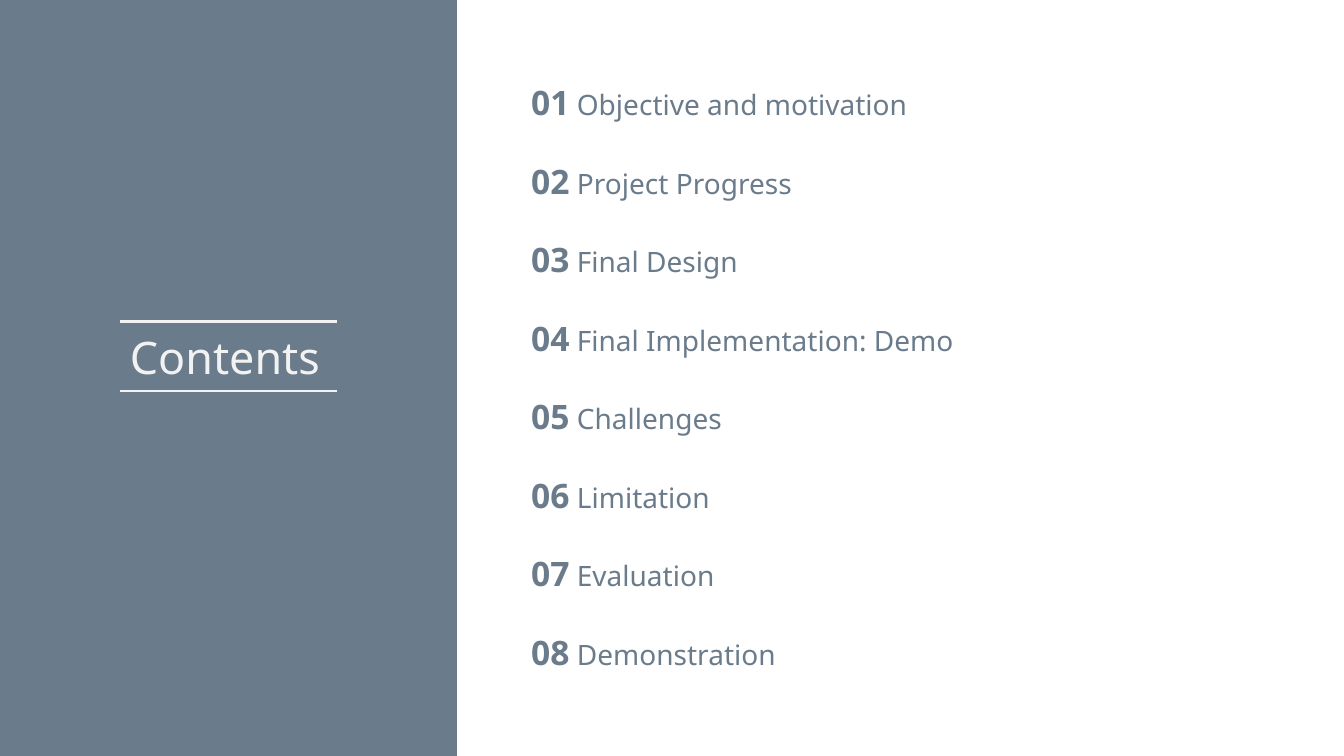
from dataclasses import dataclass

from lxml.etree import SubElement
from pptx import Presentation
from pptx.dml.color import RGBColor as RGB
from pptx.enum.shapes import MSO_CONNECTOR as CONN, MSO_SHAPE as SHAPE
from pptx.enum.text import MSO_ANCHOR as ANCHOR, MSO_AUTO_SIZE as AUTO
from pptx.oxml.ns import qn
from pptx.util import Inches, Pt

COLORS = {"slate": "6A7B8B", "pale": "F2F2F2", "white": "FFFFFF"}
FONT = "Noto Sans"
WIDTH, HEIGHT = Inches(13.33), Inches(7.5)

# Agenda rows, in percent of the slide's size
LEFT, TOP, ROW_WIDTH, ROW_HEIGHT, PITCH = 38.78, 8.67, 42.09, 9.73, 10.38
TOPICS = ["Objective and motivation", "Project Progress", "Final Design",
          "Final Implementation: Demo", "Challenges", "Limitation",
          "Evaluation", "Demonstration"]

NUMBER = {"size": Pt(24), "bold": True, "name": FONT}
TOPIC = {"size": Pt(20), "bold": False, "name": FONT}
TITLE = {"size": Pt(32), "bold": False, "name": FONT}


@dataclass
class Box:
    """Place in percent of the slide's width and height."""
    x: float
    y: float
    w: float
    h: float

    def emu(self) -> tuple[int, ...]:
        pairs = (self.x, WIDTH), (self.y, HEIGHT), (self.w, WIDTH), (self.h, HEIGHT)
        return tuple(round(share * full / 100) for share, full in pairs)


@dataclass
class Piece:
    text: str
    format: dict
    color: str


def rgb(name: str) -> RGB:
    return RGB.from_string(COLORS[name])


def add_text(shapes, box: Box, pieces: list[Piece], frame: dict) -> None:
    tf = shapes.add_textbox(*box.emu()).text_frame
    for key, value in frame.items():
        setattr(tf, key, value)
    p = tf.paragraphs[0]
    for piece in pieces:
        r = p.add_run()
        r.text = piece.text
        for key, value in piece.format.items():
            setattr(r.font, key, value)
        r.font.color.rgb = rgb(piece.color)


def add_panel(shapes, box: Box, color: str) -> None:
    sp = shapes.add_shape(SHAPE.RECTANGLE, *box.emu())
    sp.shadow.inherit = False
    sp.fill.solid()
    sp.fill.fore_color.rgb = rgb(color)
    sp.line.fill.background()


def add_rule(shapes, box: Box, color: str) -> None:
    x, y, w, h = box.emu()
    line = shapes.add_connector(CONN.STRAIGHT, x, y, x + w, y + h)
    line.line.color.rgb = rgb(color)
    line.line.width = Pt(1.5)
    SubElement(line._element.spPr, qn("a:effectLst"))


def main() -> None:
    prs = Presentation()
    prs.slide_width, prs.slide_height = WIDTH, HEIGHT
    s = prs.slides.add_slide(prs.slide_layouts[6])
    s.background.fill.solid()
    s.background.fill.fore_color.rgb = rgb("white")

    # Numbered agenda
    for i, topic in enumerate(TOPICS):
        add_text(s.shapes, Box(LEFT, TOP + i * PITCH, ROW_WIDTH, ROW_HEIGHT),
                 [Piece(f"{i + 1:02}", NUMBER, "slate"),
                  Piece(f" {topic}", TOPIC, "slate")],
                 {"word_wrap": True, "vertical_anchor": ANCHOR.MIDDLE})

    # Side panel
    add_panel(s.shapes, Box(0, 0, 34, 100), "slate")

    # Title between two rules
    title = s.shapes.add_group_shape().shapes
    add_text(title, Box(8.93, 42.93, 16.05, 8.53),
             [Piece("Contents", TITLE, "pale")],
             {"word_wrap": False, "auto_size": AUTO.SHAPE_TO_FIT_TEXT})
    for y in (42.53, 51.73):
        add_rule(title, Box(8.93, y, 16.13, 0), "pale")

    prs.save("out.pptx")


if __name__ == "__main__":
    main()
